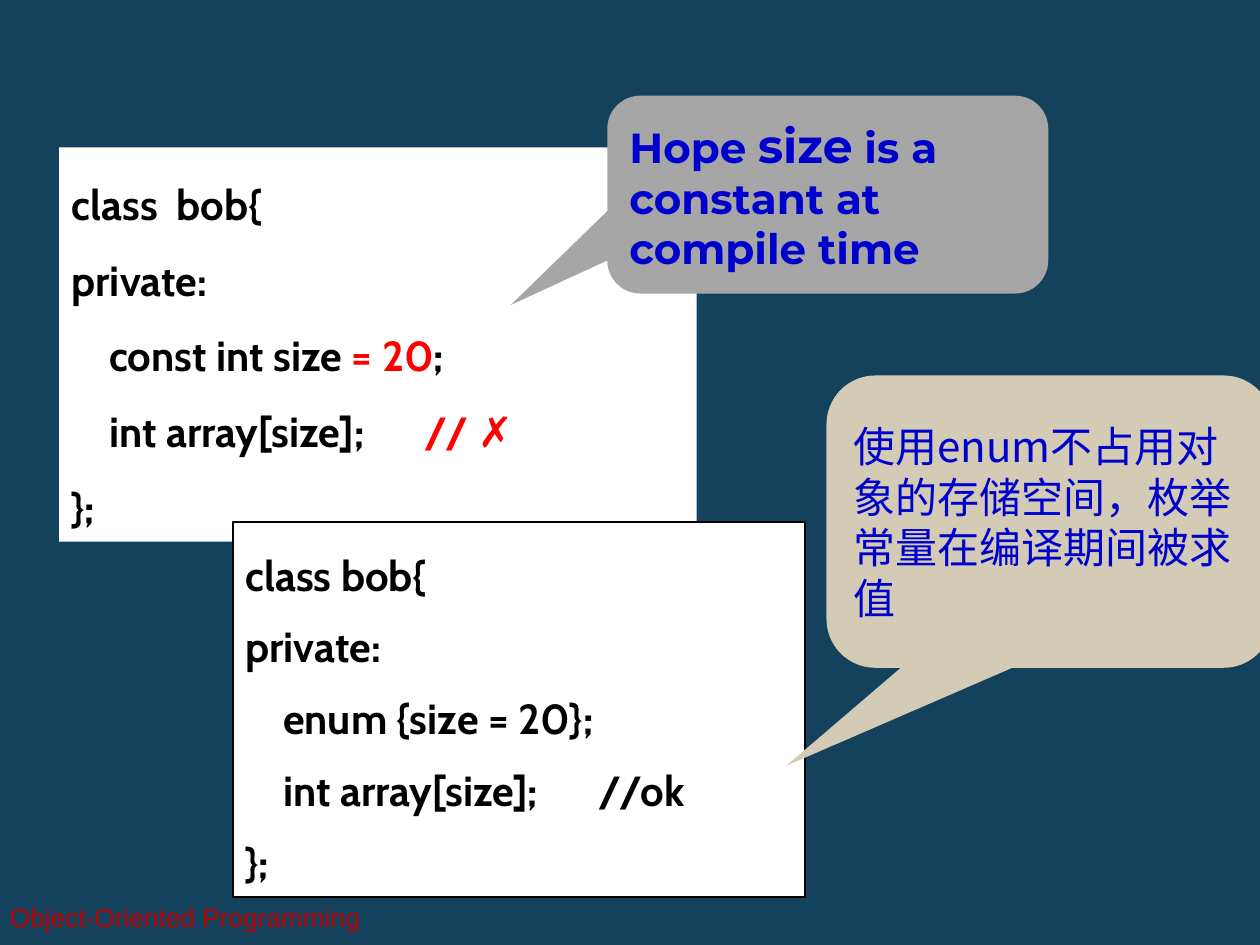
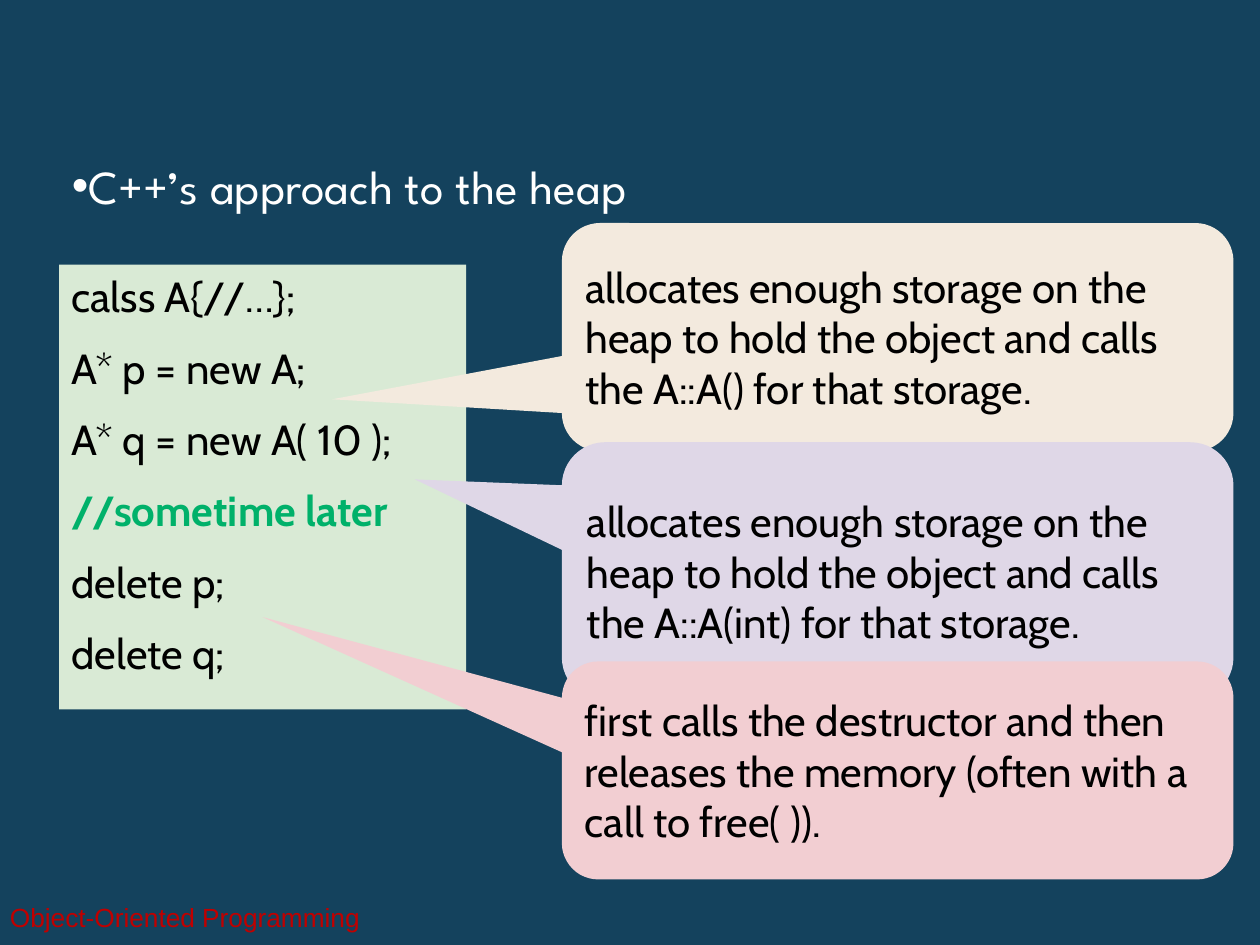
"""Build two slides on C++ class constants and heap storage."""
from dataclasses import dataclass
from typing import NamedTuple, Optional

from lxml import etree
from pptx import Presentation
from pptx.dml.color import RGBColor
from pptx.enum.shapes import MSO_SHAPE
from pptx.enum.text import MSO_ANCHOR, MSO_AUTO_SIZE, PP_ALIGN
from pptx.oxml.ns import qn
from pptx.util import Inches, Pt

RECT = MSO_SHAPE.RECTANGLE
CALLOUT = MSO_SHAPE.ROUNDED_RECTANGULAR_CALLOUT
TOP, MIDDLE = MSO_ANCHOR.TOP, MSO_ANCHOR.MIDDLE
LEFT = PP_ALIGN.LEFT
FIXED = MSO_AUTO_SIZE.NONE

COLORS = {
    "navy": "14425D", "white": "FFFFFF", "black": "000000", "red": "FF0000",
    "brick": "C00000", "blue": "0000CC", "green": "00B16A", "gray": "A6A6A6",
    "khaki": "D3CBB6", "mint": "D9EAD5", "cream": "F3EADE", "lilac": "DFD7E7",
    "rose": "F2CED2",
}
CODE = "Cabin"
CJK = "Noto Sans CJK SC"
STEP = 0.3
EDGE = 0.47


class Run(NamedTuple):
    """A stretch of text in one style."""
    text: str
    color: str = "black"
    bold: bool = False
    size: float = 24
    font: str = CODE


class Line(NamedTuple):
    """A paragraph with its indent and tab stop in inches."""
    runs: list[Run]
    indent: float = 0
    tab: float = 0


class Area(NamedTuple):
    """A place on the slide in inches."""
    left: float
    top: float
    width: float
    height: float


@dataclass
class Panel:
    """A code box."""
    area: Area
    fill: str
    lines: list[Line]
    space: Optional[float] = None
    before: float = 0
    edge: Optional[str] = None


@dataclass
class Note:
    """A callout whose tip is given as a share of its size."""
    area: Area
    fill: str
    tip: tuple[float, float]
    runs: list[Run]


def rgb(name: str) -> RGBColor:
    """Look up a colour."""
    return RGBColor.from_string(COLORS[name])


def inch(area: Area) -> list[int]:
    """Turn an area into lengths."""
    return [Inches(side) for side in area]


def write(shape, lines: list[Line], anchor=TOP, space=None, before: float = 0) -> None:
    """Fill a shape with styled paragraphs."""
    frame = shape.text_frame
    frame.word_wrap = True
    frame.auto_size = FIXED
    frame.vertical_anchor = anchor
    for spot, line in enumerate(lines):
        para = frame.paragraphs[0] if spot == 0 else frame.add_paragraph()
        para.alignment = LEFT
        para.space_before = Pt(before)
        if space:
            para.line_spacing = space
        props = para._p.get_or_add_pPr()
        props.set("marL", str(Inches(line.indent)))
        props.set("indent", "0")
        if line.tab:
            tabs = etree.SubElement(props, qn("a:tabLst"))
            etree.SubElement(tabs, qn("a:tab"), pos=str(Inches(line.tab)), algn="l")
        for item in line.runs:
            run = para.add_run()
            run.text = item.text
            font = run.font
            font.name, font.size, font.bold = item.font, Pt(item.size), item.bold
            font.color.rgb = rgb(item.color)
            if item.font == CJK:
                etree.SubElement(run._r.get_or_add_rPr(), qn("a:ea"), typeface=CJK)


def block(slide, kind, area: Area, fill: str, edge: Optional[str] = None):
    """Add a flat filled shape."""
    shape = slide.shapes.add_shape(kind, *inch(area))
    shape.shadow.inherit = False
    shape.fill.solid()
    shape.fill.fore_color.rgb = rgb(fill)
    if edge:
        shape.line.color.rgb = rgb(edge)
        shape.line.width = Pt(1)
    else:
        shape.line.fill.background()
    return shape


def draw_panel(slide, panel: Panel) -> None:
    """Draw a code box."""
    shape = block(slide, RECT, panel.area, panel.fill, panel.edge)
    write(shape, panel.lines, space=panel.space, before=panel.before)


def draw_note(slide, note: Note) -> None:
    """Draw a callout."""
    shape = block(slide, CALLOUT, note.area, note.fill)
    for spot, value in enumerate((*note.tip, 0.167)):
        shape.adjustments[spot] = value
    write(shape, [Line(note.runs)], MIDDLE)


def add_page(deck, layout: int):
    """Add a slide with the course footer."""
    slide = deck.slides.add_slide(deck.slide_layouts[layout])
    foot = slide.shapes.add_textbox(*inch(Area(-0.02, 7.08, 4.01, 0.4)))
    write(foot, [Line([Run("Object-Oriented Programming", "brick", size=15, font="Arial")])], MIDDLE)
    return slide


def code(text: str, indent: float = 0) -> Line:
    """Make a bold line of code."""
    return Line([Run(text, bold=True)], indent)


def const_page(deck) -> None:
    """Show a class constant and its enum form."""
    slide = add_page(deck, 6)
    draw_panel(slide, Panel(Area(EDGE, 1.17, 5.06, 3.13), "white", [
        code("class  bob{"),
        code("private:"),
        Line([Run("const int size ", bold=True), Run("= 20", "red", True),
              Run(";", bold=True)], STEP),
        Line([Run("int array[size];\t", bold=True), Run("// ✗", "red", True)], STEP, 2.63),
        code("};"),
    ], space=1.5))
    draw_panel(slide, Panel(Area(1.85, 4.14, 4.54, 2.98), "white", [
        code("class bob{"),
        code("private:"),
        code("enum {size = 20};", STEP),
        Line([Run("int array[size];\t//ok", bold=True)], STEP, 2.48),
        code("};"),
    ], space=Pt(41), edge="black"))
    hope = [Run(text, "blue", True, size, "Montserrat") for text, size in (
        ("Hope ", 24), ("size", 27), (" is a constant at compile time", 24))]
    draw_note(slide, Note(Area(4.82, 0.76, 3.5, 1.57), "gray", (-0.719, 0.558), hope))
    draw_note(slide, Note(Area(6.56, 2.98, 3.54, 2.32), "khaki", (-0.59, 0.835), [
        Run("使用enum不占用对象的存储空间，枚举常量在编译期间被求值", "blue", font=CJK)]))


def heap_page(deck) -> None:
    """Show how new and delete work."""
    slide = add_page(deck, 1)
    title = slide.shapes.title
    title.element.getparent().remove(title.element)
    body = slide.placeholders[1]
    body.left, body.top, body.width, body.height = inch(Area(EDGE, 1.17, 9.14, 0.58))
    write(body, [Line([Run("C++’s approach to the heap", "white", size=27,
                           font="League Spartan")])], space=Pt(34.4))
    props = body.text_frame.paragraphs[0]._p.get_or_add_pPr()
    etree.SubElement(props, qn("a:buChar"), char="•")

    steps = ["calss A{//…};", "A* p = new A;", "A* q = new A( 10 );",
             "//sometime later", "delete p;", "delete q;"]
    lines = [Line([Run(text, "green", True) if text.startswith("//") else Run(text)])
             for text in steps]
    draw_panel(slide, Panel(Area(EDGE, 2.1, 3.23, 3.53), "mint", lines, before=12))

    store = "allocates enough storage on the heap to hold the object and calls the {} for that storage."
    free = "first calls the destructor and then releases the memory (often with a call to free( ))."
    for top, height, fill, tip, text in (
        (1.77, 1.81, "cream", (-0.842, 0.273), store.format("A::A()")),
        (3.51, 2.05, "lilac", (-0.719, -0.356), store.format("A::A(int)")),
        (5.25, 1.73, "rose", (-0.946, -0.704), free),
    ):
        draw_note(slide, Note(Area(4.46, top, 5.33, height), fill, tip, [Run(text)]))


def main() -> None:
    """Build and save the deck."""
    deck = Presentation()
    deck.slide_width, deck.slide_height = Inches(10), Inches(7.5)
    back = deck.slide_master.background.fill
    back.solid()
    back.fore_color.rgb = rgb("navy")
    const_page(deck)
    heap_page(deck)
    deck.save("out.pptx")


if __name__ == "__main__":
    main()
